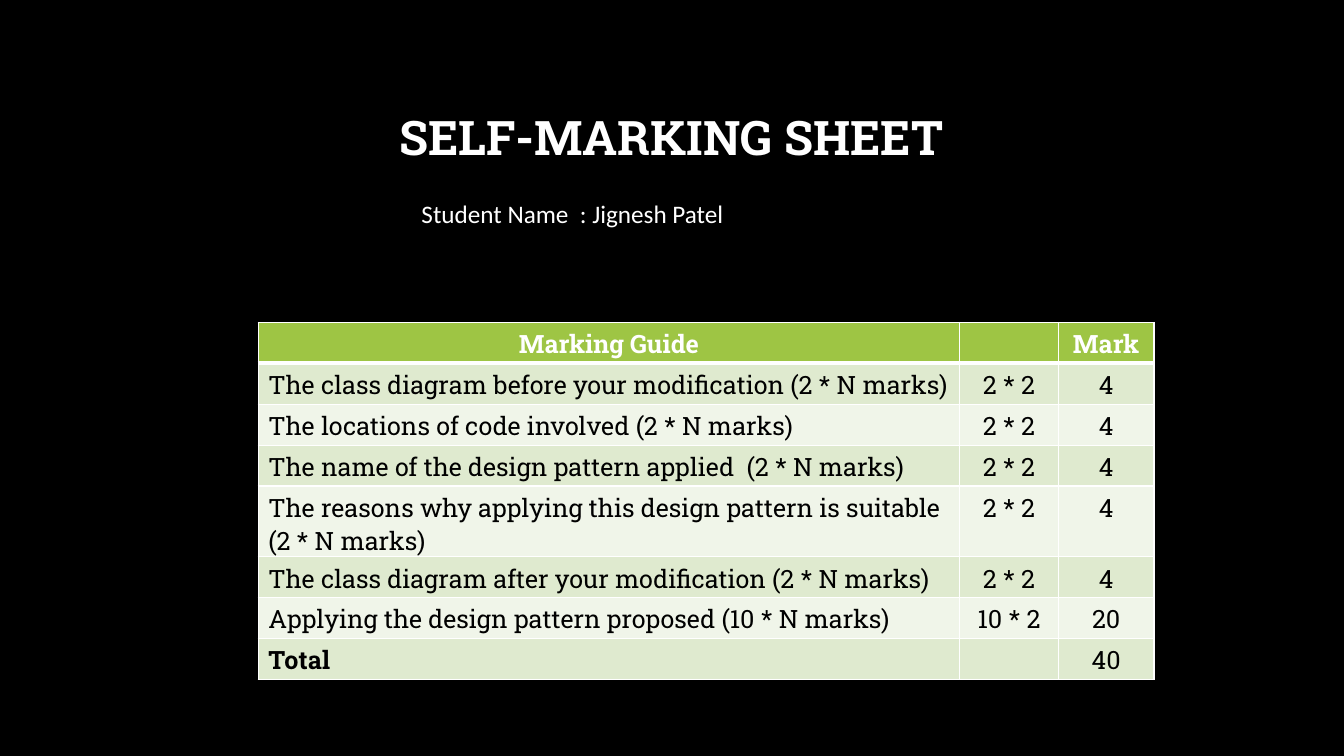
from dataclasses import dataclass

from lxml.etree import SubElement
from pptx import Presentation
from pptx.dml.color import RGBColor
from pptx.enum.text import MSO_ANCHOR, PP_ALIGN
from pptx.oxml.ns import qn
from pptx.util import Pt

PX = 9525  # EMU per px, 96 px to the inch


@dataclass(frozen=True)
class Theme:
    background: str = "000000"
    light: str = "FFFFFF"
    dark: str = "000000"
    header: str = "9EC544"
    bands: tuple = ("DFEACF", "F0F5E9")
    slab: str = "Roboto Slab"
    sans: str = "Calibri"
    title_size: int = 34
    body_size: int = 18
    rule: int = 1
    header_rule: int = 3


THEME = Theme()

COLUMNS = (668, 94, 91)
ROW_HEIGHT, TALL_ROW_HEIGHT = 39, 67
MARKS = [
    ("Marking Guide", "", "Mark"),
    ("The class diagram before your modification (2 * N marks)", "2 * 2", "4"),
    ("The locations of code involved (2 * N marks)", "2 * 2", "4"),
    ("The name of the design pattern applied  (2 * N marks)", "2 * 2", "4"),
    ("The reasons why applying this design pattern is suitable\n(2 * N marks)", "2 * 2", "4"),
    ("The class diagram after your modification (2 * N marks)", "2 * 2", "4"),
    ("Applying the design pattern proposed (10 * N marks)", "10 * 2", "20"),
    ("Total", "", "40"),
]


def write(tf, text, font, size, color, bold=False, align=PP_ALIGN.LEFT):
    tf.text = text
    for p in tf.paragraphs:
        p.alignment = align
        p.font.name, p.font.size, p.font.bold = font, Pt(size), bold
        p.font.color.rgb = RGBColor.from_string(color)


def add_text(s, box, text, anchor=MSO_ANCHOR.TOP, **style):
    tf = s.shapes.add_textbox(*(n * PX for n in box)).text_frame
    tf.word_wrap = True
    tf.vertical_anchor = anchor
    write(tf, text, color=THEME.light, **style)
    return tf


def set_borders(cell, top, bottom):
    tc_pr = cell._tc.get_or_add_tcPr()
    widths = {"a:lnL": THEME.rule, "a:lnR": THEME.rule, "a:lnT": top, "a:lnB": bottom}
    for i, (tag, width) in enumerate(widths.items()):
        ln = SubElement(tc_pr, qn(tag), w=str(Pt(width)))
        SubElement(SubElement(ln, qn("a:solidFill")), qn("a:srgbClr"), val=THEME.light)
        tc_pr.insert(i, ln)  # borders come before the cell fill


def fill_cell(cell, text, row, col):
    is_header = row == 0
    fill = THEME.header if is_header else THEME.bands[(row - 1) % 2]
    cell.fill.solid()
    cell.fill.fore_color.rgb = RGBColor.from_string(fill)
    write(cell.text_frame, text, THEME.slab, THEME.body_size,
          THEME.light if is_header else THEME.dark,
          bold=is_header or text == "Total",
          align=PP_ALIGN.CENTER if is_header or col else PP_ALIGN.LEFT)
    set_borders(cell,
                top=THEME.header_rule if row == 1 else THEME.rule,
                bottom=THEME.header_rule if is_header else THEME.rule)


def add_marks_table(s, left, top):
    heights = [TALL_ROW_HEIGHT if "\n" in row[0] else ROW_HEIGHT for row in MARKS]
    table = s.shapes.add_table(len(MARKS), len(COLUMNS), left * PX, top * PX,
                               sum(COLUMNS) * PX, sum(heights) * PX).table
    for column, width in zip(table.columns, COLUMNS):
        column.width = width * PX
    for r, (values, height) in enumerate(zip(MARKS, heights)):
        table.rows[r].height = height * PX
        for c, text in enumerate(values):
            fill_cell(table.cell(r, c), text, r, c)


def main():
    prs = Presentation()
    prs.slide_width, prs.slide_height = 1280 * PX, 720 * PX
    s = prs.slides.add_slide(prs.slide_layouts[6])
    s.background.fill.solid()
    s.background.fill.fore_color.rgb = RGBColor.from_string(THEME.background)

    # Heading and student
    title = add_text(s, (96, 64, 1087, 139), "SELF-MARKING SHEET", MSO_ANCHOR.MIDDLE,
                     font=THEME.slab, size=THEME.title_size, bold=True,
                     align=PP_ALIGN.CENTER)
    title.paragraphs[0].line_spacing = 0.9
    add_text(s, (392, 184, 606, 38), "Student Name  : Jignesh Patel",
             font=THEME.sans, size=THEME.body_size)

    # Marks
    add_marks_table(s, 246, 307)

    prs.save("out.pptx")


if __name__ == "__main__":
    main()
